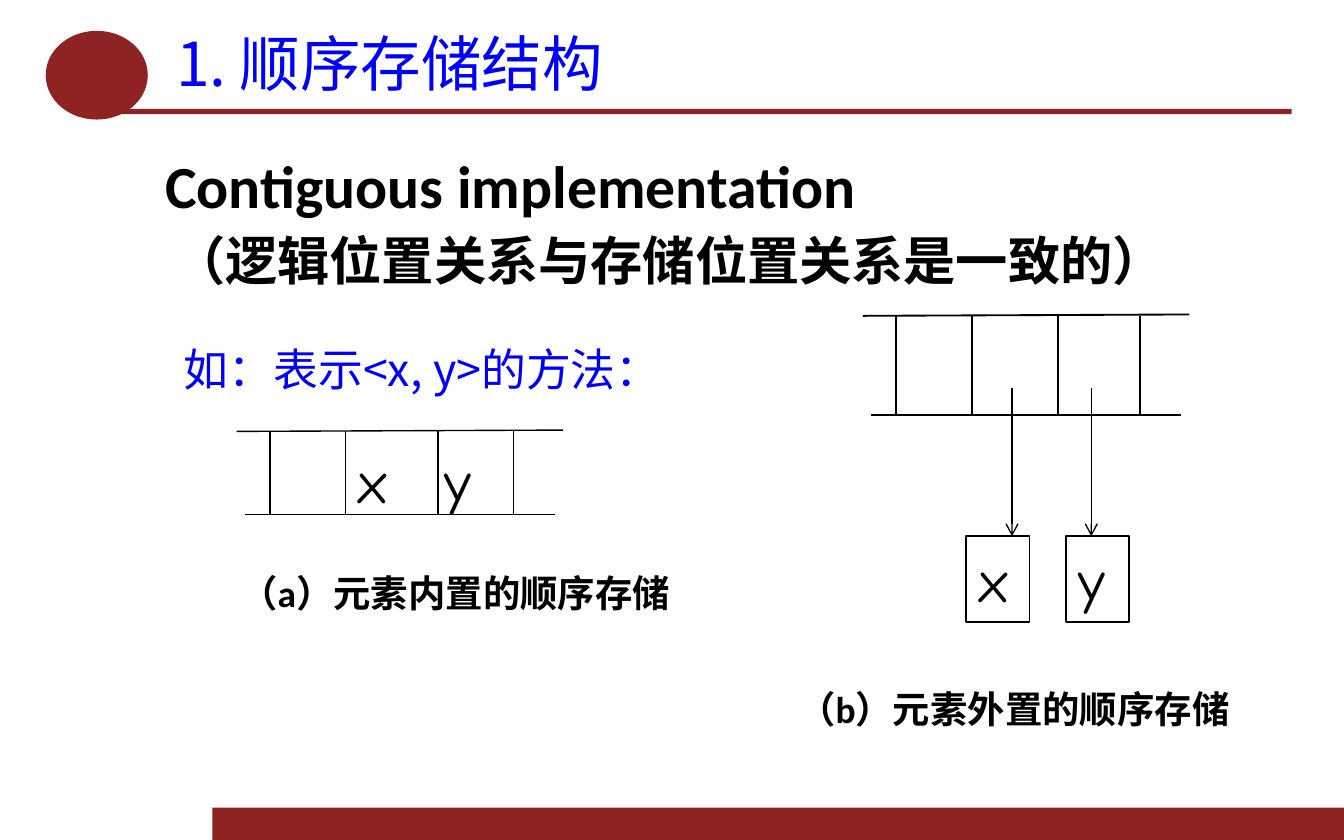
from dataclasses import dataclass

from lxml.etree import SubElement
from pptx import Presentation
from pptx.dml.color import RGBColor as Rgb
from pptx.enum.shapes import MSO_CONNECTOR as Connector, MSO_SHAPE as Shape
from pptx.enum.text import MSO_ANCHOR as Anchor, MSO_AUTO_SIZE as AutoSize, PP_ALIGN as Align
from pptx.oxml.ns import qn
from pptx.util import Inches, Pt


@dataclass(frozen=True)
class Theme:
    maroon: Rgb = Rgb(0x8F, 0x22, 0x22)
    blue: Rgb = Rgb(0x00, 0x00, 0xFF)
    black: Rgb = Rgb(0x00, 0x00, 0x00)
    chinese: str = "Noto Sans CJK SC"
    latin: str = "Calibri"
    symbol: str = "Comic Neue"
    title: float = 32.4
    heading: int = 32
    subheading: int = 28
    lead: int = 24
    caption: int = 20
    thin: float = 0.75
    medium: float = 1


def write(frame, text, *, size, font, color, bold=False, align=Align.LEFT, anchor=Anchor.TOP):
    frame.word_wrap = True
    frame.auto_size = AutoSize.NONE
    frame.vertical_anchor = anchor
    paragraph = frame.paragraphs[0]
    paragraph.alignment = align
    run = paragraph.add_run()
    run.text = text
    run.font.size = Pt(size)
    run.font.name = font
    run.font.bold = bold
    run.font.color.rgb = color
    SubElement(run.font._element, qn("a:ea"), typeface=Theme.chinese)


class SlideBuilder:
    def __init__(self, slide, theme):
        self.slide, self.theme = slide, theme

    def title(self, text, *box):
        holder = self.slide.shapes.title
        holder.left, holder.top, holder.width, holder.height = map(Inches, box)
        write(holder.text_frame, text, size=self.theme.title, font=self.theme.chinese,
              color=self.theme.blue, align=Align.JUSTIFY, anchor=Anchor.MIDDLE)

    def text(self, text, *box, **style):
        label = self.slide.shapes.add_textbox(*map(Inches, box))
        write(label.text_frame, text, **style)

    def block(self, kind, *box):
        block = self.slide.shapes.add_shape(kind, *map(Inches, box))
        block.shadow.inherit = False
        block.fill.solid()
        block.fill.fore_color.rgb = self.theme.maroon
        block.line.fill.background()

    def node(self, text, *box, **style):
        node = self.slide.shapes.add_shape(Shape.RECTANGLE, *map(Inches, box))
        node.shadow.inherit = False
        node.fill.background()
        node.line.color.rgb = self.theme.black
        node.line.width = Pt(self.theme.medium)
        write(node.text_frame, text, **style)

    def line(self, *ends, weight, arrow=False):
        line = self.slide.shapes.add_connector(Connector.STRAIGHT, *map(Inches, ends))
        line.line.color.rgb = self.theme.black
        line.line.width = Pt(weight)
        if arrow:
            SubElement(line.line._get_or_add_ln(), qn("a:tailEnd"), type="arrow")
        SubElement(line._element.spPr, qn("a:effectLst"))

    def memory(self, left, top, height, dividers, weight):
        """Draw a strip of storage cells that is open at both ends."""
        bottom = top + height
        self.line(left, top, left + 2.43, top - 0.01, weight=weight)
        self.line(left + 0.06, bottom, left + 2.37, bottom, weight=weight)
        for x in dividers:
            self.line(x, top, x, bottom, weight=weight)


def main():
    theme = Theme()
    deck = Presentation()
    deck.slide_width, deck.slide_height = Inches(10), Inches(6.25)
    page = SlideBuilder(deck.slides.add_slide(deck.slide_layouts[5]), theme)

    page.block(Shape.RECTANGLE, 1.58, 6.01, 8.42, 0.24)
    page.block(Shape.RECTANGLE, 0.89, 0.81, 8.72, 0.04)
    page.block(Shape.OVAL, 0.34, 0.23, 0.76, 0.66)
    page.title("1. 顺序存储结构", 1.21, 0.17, 8.39, 0.59)

    page.text("Contiguous implementation", 1.13, 1.06, 6.44, 0.64,
              size=theme.heading, font=theme.latin, color=theme.black, bold=True)
    page.text("（逻辑位置关系与存储位置关系是一致的）", 1.19, 1.65, 7.8, 0.57,
              size=theme.subheading, font=theme.chinese, color=theme.black, bold=True)
    page.text("如：表示<x, y>的方法：", 1.27, 2.49, 4, 0.5,
              size=theme.lead, font=theme.chinese, color=theme.blue)

    symbol = dict(size=theme.heading, font=theme.symbol, color=theme.black)
    page.memory(1.76, 3.21, 0.62, (2.01, 2.57, 3.26, 3.82), theme.thin)
    for name, left in (("x", 2.57), ("y", 3.21)):
        page.text(name, left, 3.25, 0.6, 0.64, **symbol)

    page.memory(6.42, 2.35, 0.74, (6.67, 7.23, 7.87, 8.48), theme.medium)
    for name, left, pointer in (("x", 7.19, 7.53), ("y", 7.93, 8.12)):
        page.node(name, left, 3.99, 0.47, 0.64, **symbol)
        page.line(pointer, 2.89, pointer, 3.99, weight=theme.thin, arrow=True)

    for caption, left, top in (("（a）元素内置的顺序存储", 1.69, 4.19),
                               ("（b）元素外置的顺序存储", 5.84, 5.06)):
        page.text(caption, left, top, 3.44, 0.44,
                  size=theme.caption, font=theme.latin, color=theme.black, bold=True)

    deck.save("out.pptx")


if __name__ == "__main__":
    main()
